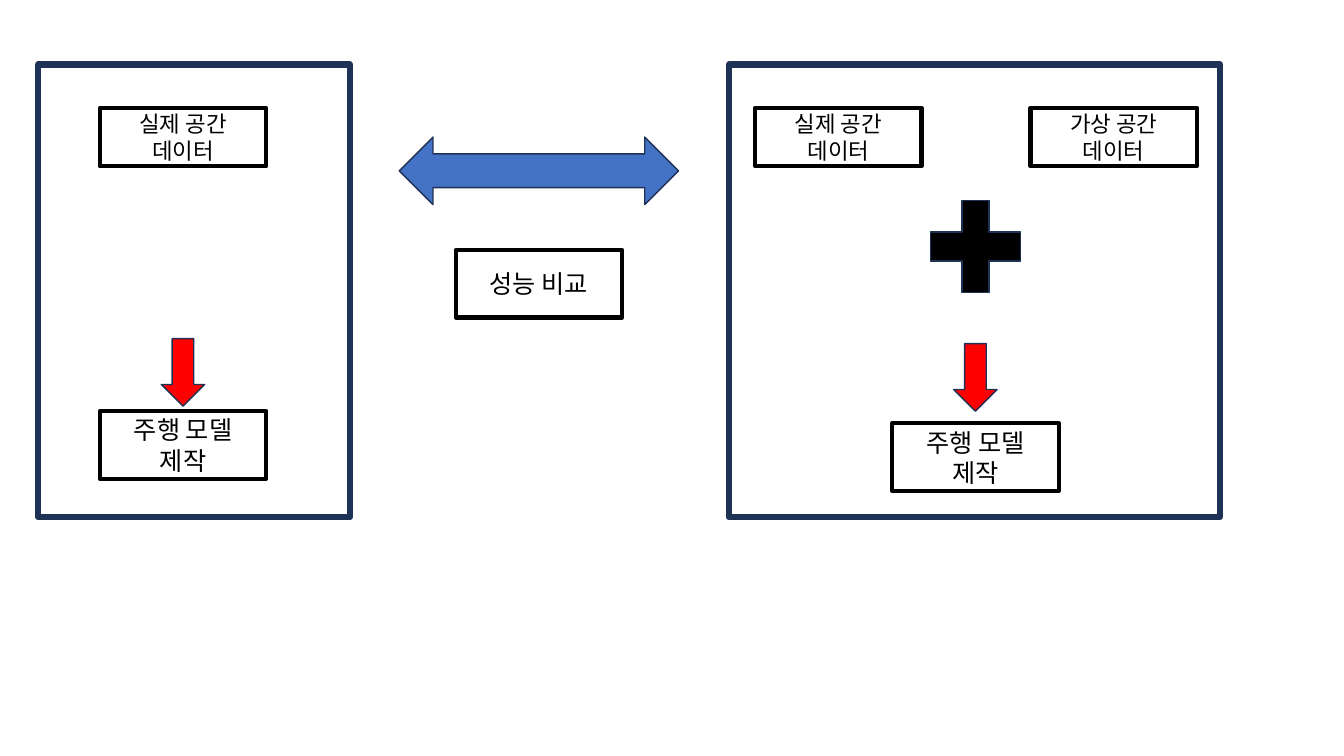
from dataclasses import dataclass

from lxml import etree
from pptx import Presentation
from pptx.dml.color import RGBColor
from pptx.enum.shapes import MSO_SHAPE
from pptx.enum.text import MSO_ANCHOR, PP_ALIGN
from pptx.oxml.ns import qn
from pptx.util import Inches, Pt

RECT = MSO_SHAPE.RECTANGLE
PLUS = MSO_SHAPE.CROSS
DOWN = MSO_SHAPE.DOWN_ARROW
BOTH_WAYS = MSO_SHAPE.LEFT_RIGHT_ARROW
MIDDLE = MSO_ANCHOR.MIDDLE
CENTER = PP_ALIGN.CENTER
BLANK_LAYOUT = 6


@dataclass(frozen=True)
class Theme:
    font: str = "Noto Sans CJK KR"
    ink: str = "000000"
    navy: str = "1E3256"
    blue: str = "4472C4"
    red: str = "FF0000"
    data_size: int = 16
    model_size: int = 18
    thin: float = 1
    box_line: float = 3
    frame_line: float = 4.5


THEME = Theme()

REAL_DATA = ["실제 공간", "데이터"]
VIRTUAL_DATA = ["가상 공간", "데이터"]
DRIVING_MODEL = ["주행 모델", "제작"]
COMPARISON = ["성능 비교"]

# Each pipeline: frame left and width, axis of its model, tops of arrow and model,
# and its data boxes as (lines, left)
PIPELINES = [
    {"frame": (0.38, 3.09), "axis": 1.815, "arrow_top": 3.36, "model_top": 4.08,
     "data": [(REAL_DATA, 0.99)]},
    {"frame": (7.23, 4.87), "axis": 9.675, "arrow_top": 3.41, "model_top": 4.2,
     "data": [(REAL_DATA, 7.49), (VIRTUAL_DATA, 10.22)]},
]
FRAME_TOP, FRAME_HEIGHT = 0.64, 4.49
DATA_TOP, DATA_HEIGHT = 1.07, 0.58
BOX_WIDTH, MODEL_HEIGHT = 1.65, 0.67
ARROW_WIDTH, ARROW_HEIGHT = 0.43, 0.67


def add_outline(slide, kind, place, line, width, fill=None):
    shape = slide.shapes.add_shape(kind, *map(Inches, place))
    shape.shadow.inherit = False
    if fill:
        shape.fill.solid()
        shape.fill.fore_color.rgb = RGBColor.from_string(fill)
    else:
        shape.fill.background()
    shape.line.color.rgb = RGBColor.from_string(line)
    shape.line.width = Pt(width)
    return shape


def add_box(slide, lines, place, size):
    box = add_outline(slide, RECT, place, THEME.ink, THEME.box_line)
    frame = box.text_frame
    frame.word_wrap = True
    frame.vertical_anchor = MIDDLE
    for index, line in enumerate(lines):
        paragraph = frame.paragraphs[0] if index == 0 else frame.add_paragraph()
        paragraph.alignment = CENTER
        run = paragraph.add_run()
        run.text = line
        for name, value in {"name": THEME.font, "size": Pt(size)}.items():
            setattr(run.font, name, value)
        run.font.color.rgb = RGBColor.from_string(THEME.ink)
        east_asian = etree.SubElement(run.font._element, qn("a:ea"))
        east_asian.set("typeface", THEME.font)


def add_pipeline(slide, pipeline):
    left, width = pipeline["frame"]
    axis = pipeline["axis"]
    add_outline(slide, RECT, (left, FRAME_TOP, width, FRAME_HEIGHT),
                THEME.navy, THEME.frame_line)
    for lines, data_left in pipeline["data"]:
        add_box(slide, lines, (data_left, DATA_TOP, BOX_WIDTH, DATA_HEIGHT),
                THEME.data_size)
    add_outline(slide, DOWN,
                (axis - ARROW_WIDTH / 2, pipeline["arrow_top"], ARROW_WIDTH, ARROW_HEIGHT),
                THEME.navy, THEME.thin, THEME.red)
    add_box(slide, DRIVING_MODEL,
            (axis - BOX_WIDTH / 2, pipeline["model_top"], BOX_WIDTH, MODEL_HEIGHT),
            THEME.model_size)


def main():
    deck = Presentation()
    deck.slide_width, deck.slide_height = Inches(13.33), Inches(7.5)
    slide = deck.slides.add_slide(deck.slide_layouts[BLANK_LAYOUT])

    for pipeline in PIPELINES:
        add_pipeline(slide, pipeline)
    plus = add_outline(slide, PLUS, (9.23, 1.99, 0.89, 0.91),
                       THEME.navy, THEME.thin, THEME.ink)
    plus.adjustments[0] = 0.35
    add_outline(slide, BOTH_WAYS, (3.96, 1.36, 2.77, 0.67),
                THEME.navy, THEME.thin, THEME.blue)
    add_box(slide, COMPARISON, (4.52, 2.48, BOX_WIDTH, MODEL_HEIGHT), THEME.model_size)

    deck.save("out.pptx")


if __name__ == "__main__":
    main()
